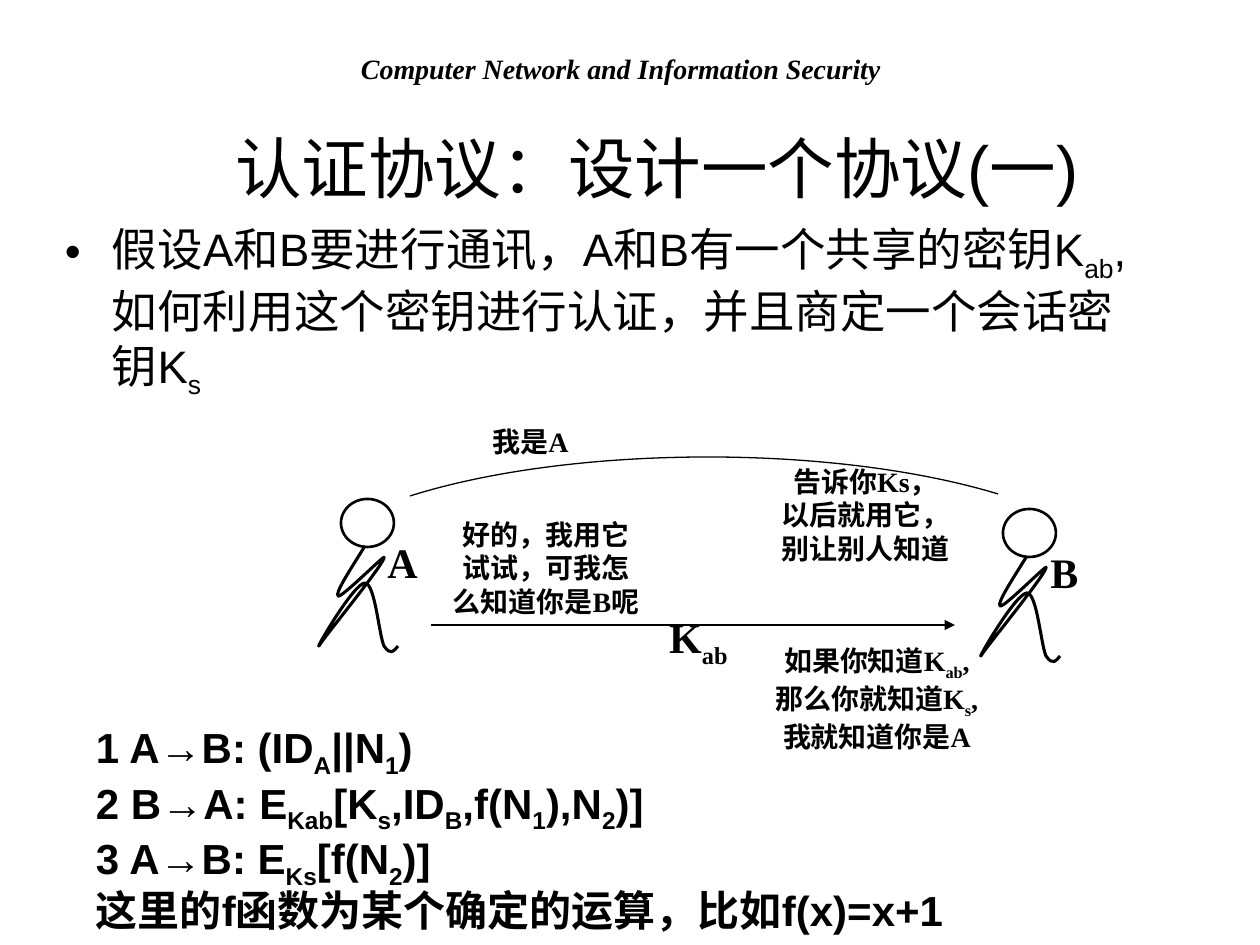
from copy import deepcopy
from dataclasses import dataclass
from typing import Any

from lxml import etree
from pptx import Presentation
from pptx import util as u
from pptx.dml.color import RGBColor
from pptx.enum import shapes, text
from pptx.oxml import ns

PX = u.Inches(1) / 126
COLORS = {"ink": "000000", "paper": "FFFFFF"}
SANS, SERIF = "Arial", "Times New Roman"
SUBSCRIPT = "~"  # switches between normal and subscript text
Point = tuple[int, int]


@dataclass
class Label:
    """A text box; box is left, top, width, height in px."""
    box: tuple[int, int, int, int]
    paragraphs: list[str]
    size: int
    font: str = SERIF
    bold: bool = True
    italic: bool = False
    centered: bool = True
    wrap: bool = False
    middle: bool = True
    left_inset: int = 12
    right_inset: int = 12
    line_spacing: float | None = None
    space_before: float = 0
    bullet: bool = False
    fill: str | None = None


@dataclass
class Figure:
    """A stick figure placed by the corner of its head."""
    name: str
    left: int
    top: int


# Curves: a start point followed by control, control, end triples
BODY: list[Point] = [
    (24, 47), (9, 71), (-6, 94), (-3, 97), (0, 100), (47, 52), (43, 59),
    (41, 68), (-20, 142), (-22, 147), (-26, 151), (13, 84), (24, 84),
    (34, 84), (38, 136), (43, 147), (50, 157), (53, 152), (57, 147)]
ARC: list[Point] = [(410, 496), (489, 471), (596, 457), (708, 457),
                    (815, 457), (919, 470), (998, 494)]
ARC_CENTER: Point = (708, 593)

FIGURES = [Figure("A", 341, 499), Figure("B", 1003, 509)]

HEADER = Label((203, 45, 833, 47), ["Computer Network and Information Security"], 16,
               italic=True, centered=False, wrap=True, left_inset=158, fill="paper")

LABELS = [
    # Title and question
    Label((174, 69, 966, 195), ["认证协议：设计一个协议(一)"], 38, SANS,
          bold=False, wrap=True),
    Label((53, 215, 1113, 171),
          ["假设A和B要进行通讯，A和B有一个共享的密钥K~ab~"
           ",如何利用这个密钥进行认证，并且商定一个会话密钥K~s"],
          26, SANS, bold=False, centered=False, wrap=True, middle=False,
          space_before=5.2, bullet=True),
    # Protocol steps
    Label((84, 730, 1081, 209),
          ["1 A→B: (ID~A~||N~1~)",
           "2 B→A: E~Kab~[K~s~,ID~B~,f(N~1~),N~2~)]",
           "3 A→B: E~Ks~[f(N~2~)]",
           "这里的f函数为某个确定的运算，比如f(x)=x+1"],
          24, SANS, centered=False, wrap=True, middle=False,
          line_spacing=0.6, space_before=12),
    # Dialogue
    Label((599, 593, 199, 95), ["K~ab"], 24),
    Label((431, 394, 199, 95), ["我是A"], 16),
    Label((766, 467, 199, 95), ["告诉你Ks，\n以后就用它，\n别让别人知道"], 16),
    Label((441, 520, 210, 95), ["好的，我用它\n试试，可我怎\n么知道你是B呢"], 16,
          left_inset=0, right_inset=0),
    Label((756, 646, 242, 105),
          ["如果你知道K~ab~,\n那么你就知道K~s~,\n我就知道你是A"], 16),
]


def px(value: float) -> u.Emu:
    return u.Emu(round(value * PX))


def color(name: str) -> RGBColor:
    return RGBColor.from_string(COLORS[name])


def apply(target: Any, values: dict[str, Any]) -> None:
    for name, value in values.items():
        setattr(target, name, value)


def add_runs(paragraph: Any, content: str, label: Label) -> None:
    for index, part in enumerate(content.split(SUBSCRIPT)):
        for number, line in enumerate(part.split("\n")):
            if number:
                paragraph.add_line_break()
            if not line:
                continue
            run = paragraph.add_run()
            run.text = line
            apply(run.font, {"size": u.Pt(label.size), "name": label.font,
                             "bold": label.bold, "italic": label.italic})
            run.font.color.rgb = color("ink")
            if index % 2:
                run._r.get_or_add_rPr().set("baseline", "-25000")


def add_bullet(paragraph: Any) -> None:
    properties = paragraph._p.get_or_add_pPr()
    properties.set("marL", str(px(47)))
    properties.set("indent", str(-px(47)))
    etree.SubElement(properties, ns.qn("a:buFont")).set("typeface", SANS)
    etree.SubElement(properties, ns.qn("a:buChar")).set("char", "•")


def add_label(slide: Any, label: Label) -> None:
    box = map(px, label.box)
    if label.fill:
        shape = slide.shapes.add_shape(shapes.MSO_SHAPE.RECTANGLE, *box)
        shape.shadow.inherit = False
        shape.fill.solid()
        shape.fill.fore_color.rgb = color(label.fill)
        shape.line.fill.background()
    else:
        shape = slide.shapes.add_textbox(*box)
    frame = shape.text_frame
    anchor = text.MSO_ANCHOR.MIDDLE if label.middle else text.MSO_ANCHOR.TOP
    apply(frame, {"word_wrap": label.wrap, "vertical_anchor": anchor,
                  "margin_left": px(label.left_inset),
                  "margin_right": px(label.right_inset)})
    align = text.PP_ALIGN.CENTER if label.centered else text.PP_ALIGN.LEFT
    for index, content in enumerate(label.paragraphs):
        paragraph = frame.add_paragraph() if index else frame.paragraphs[0]
        apply(paragraph, {"alignment": align, "line_spacing": label.line_spacing,
                          "space_before": u.Pt(label.space_before)})
        if label.bullet:
            add_bullet(paragraph)
        add_runs(paragraph, content, label)


def outline(shape: Any, width: float) -> None:
    shape.shadow.inherit = False
    shape.fill.background()
    shape.line.color.rgb = color("ink")
    shape.line.width = u.Pt(width)


def add_curve(slide: Any, points: list[Point], width: float,
              center: Point | None = None) -> None:
    """Draw joined cubic curves; a center adds an unstroked sector behind them."""
    start, *rest = [(px(x), px(y)) for x, y in points + ([center] if center else [])]
    builder = slide.shapes.build_freeform(*start)
    builder.add_line_segments(rest, close=center is not None)
    shape = builder.convert_to_shape()
    outline(shape, width)

    # Gather each three line ends into one cubic segment
    stroke = next(shape._element.iter(ns.qn("a:path")))
    lines = stroke.findall(ns.qn("a:lnTo"))
    for first in range(0, len(points) - 1, 3):
        cubic = etree.Element(ns.qn("a:cubicBezTo"))
        lines[first].addprevious(cubic)
        for line in lines[first:first + 3]:
            cubic.append(line[0])
            stroke.remove(line)
    if center:
        sector = deepcopy(stroke)
        sector.set("stroke", "0")
        stroke.addnext(sector)
        stroke.set("fill", "none")
        for extra in stroke[-2:]:
            stroke.remove(extra)


def add_figure(slide: Any, figure: Figure) -> None:
    left, top = figure.left, figure.top
    head = slide.shapes.add_shape(shapes.MSO_SHAPE.OVAL, px(left), px(top), px(53), px(48))
    outline(head, 1.5)
    add_curve(slide, [(left + x, top + y) for x, y in BODY], 1.75)
    add_label(slide, Label((left + 44, top + 39, 35, 48), [figure.name], 24,
                           left_inset=0, right_inset=0))


def add_arrow(slide: Any, start: Point, end: Point) -> None:
    arrow = slide.shapes.add_connector(shapes.MSO_CONNECTOR.STRAIGHT, *map(px, start + end))
    arrow.line.color.rgb = color("ink")
    arrow.line.width = u.Pt(1.5)
    etree.SubElement(arrow.line._get_or_add_ln(), ns.qn("a:tailEnd")).set("type", "triangle")
    etree.SubElement(arrow._element.spPr, ns.qn("a:effectLst"))


def main() -> None:
    presentation = Presentation()
    apply(presentation, {"slide_width": px(1260), "slide_height": px(945)})
    slide = presentation.slides.add_slide(presentation.slide_layouts[6])
    slide.background.fill.solid()
    slide.background.fill.fore_color.rgb = color("paper")

    # Header, people, the exchange between them, then the wording
    add_label(slide, HEADER)
    for figure in FIGURES:
        add_figure(slide, figure)
    add_arrow(slide, (431, 625), (955, 625))
    add_curve(slide, ARC, 0.75, ARC_CENTER)
    for label in LABELS:
        add_label(slide, label)
    presentation.save("out.pptx")


if __name__ == "__main__":
    main()
